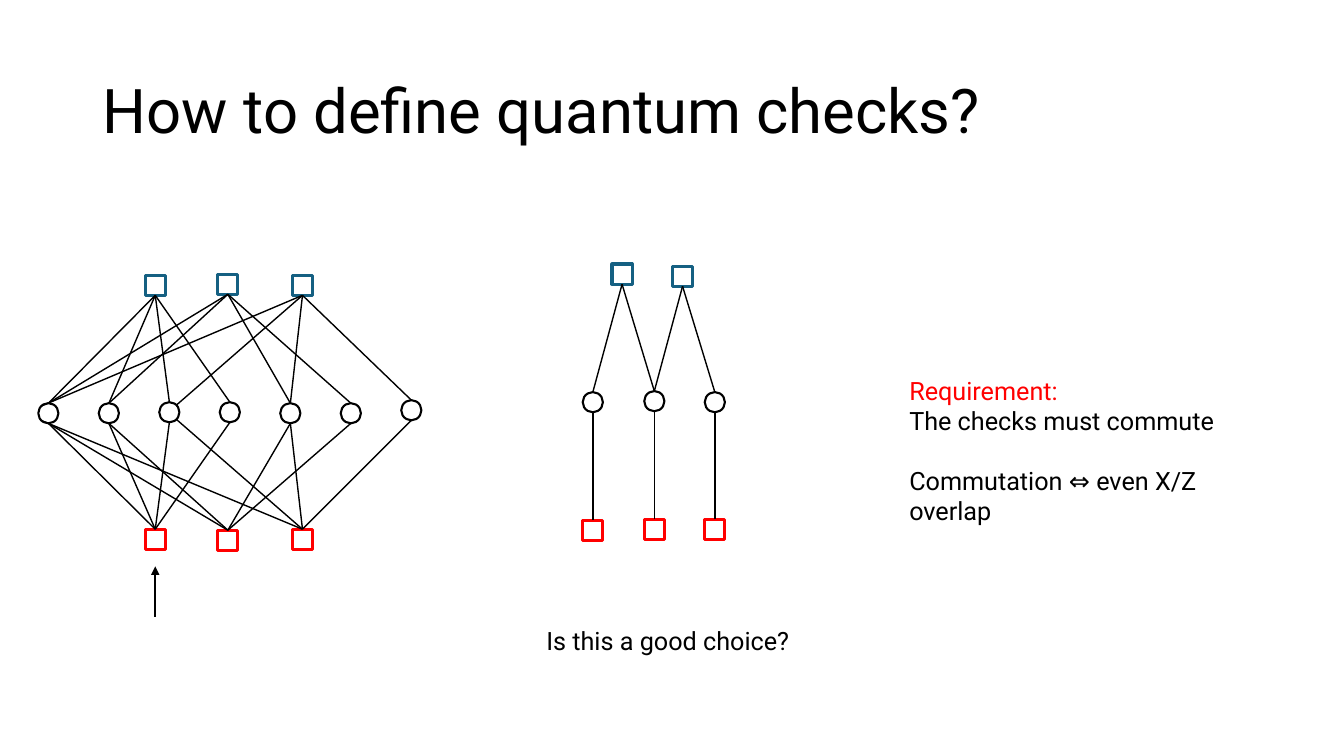
from math import sqrt

from lxml.etree import SubElement
from pptx import Presentation
from pptx.dml.color import RGBColor
from pptx.enum.shapes import MSO_CONNECTOR, MSO_SHAPE
from pptx.enum.text import MSO_ANCHOR, MSO_AUTO_SIZE, PP_ALIGN
from pptx.oxml.ns import qn
from pptx.util import Inches, Pt

COLORS = {"ink": "000000", "paper": "FFFFFF", "x_check": "156082", "z_check": "FF0000"}
FONT = "Roboto"
CELL = 0.1  # side of one grid column or row, in inches
RADIUS = 1  # half the width of a node, in cells


def grid(*cells):
    return [Inches(n * CELL) for n in cells]


def color(name):
    return RGBColor.from_string(COLORS[name])


def write(p, text, size=18, ink="ink", before=None, spacing=None):
    p.alignment = PP_ALIGN.LEFT
    if before is not None:
        p.space_before = Pt(before)
    if spacing is not None:
        p.line_spacing = spacing
    r = p.add_run()
    r.text = text
    r.font.name, r.font.size = FONT, Pt(size)
    r.font.color.rgb = color(ink)


class Board:
    def __init__(self, prs):
        self.s = prs.slides.add_slide(prs.slide_layouts[5])
        self.s.background.fill.solid()
        self.s.background.fill.fore_color.rgb = color("paper")

    def title(self, text, *box):
        sp = self.s.shapes.title
        sp.left, sp.top, sp.width, sp.height = grid(*box)
        tf = sp.text_frame
        tf.auto_size, tf.vertical_anchor = MSO_AUTO_SIZE.NONE, MSO_ANCHOR.MIDDLE
        write(tf.paragraphs[0], text, size=44, spacing=0.9, before=0)

    def text(self, lines, *box):
        tf = self.s.shapes.add_textbox(*grid(*box)).text_frame
        tf.word_wrap = True
        tf.auto_size = MSO_AUTO_SIZE.SHAPE_TO_FIT_TEXT
        for i, (text, fmt) in enumerate(lines):
            write(tf.add_paragraph() if i else tf.paragraphs[0], text, **fmt)

    def node(self, group, kind, center, line, weight):
        x, y = center
        sp = group.shapes.add_shape(
            kind, *grid(x - RADIUS, y - RADIUS, 2 * RADIUS, 2 * RADIUS))
        sp.shadow.inherit = False
        sp.fill.solid()
        sp.fill.fore_color.rgb = color("paper")
        sp.line.color.rgb = color(line)
        sp.line.width = Pt(weight)
        return sp

    def line(self, group, start, end, weight=1, arrow=False):
        cxn = group.shapes.add_connector(MSO_CONNECTOR.STRAIGHT, *grid(*start, *end))
        cxn.line.color.rgb = color("ink")
        cxn.line.width = Pt(weight)
        if arrow:
            SubElement(cxn.line._get_or_add_ln(), qn("a:tailEnd"), type="triangle")
        SubElement(cxn._element.spPr, qn("a:effectLst"))
        return cxn

    def tanner_graph(self, bits, x_checks, z_checks, slants=None):
        """Checks are (center, linked bits); slants shift a link's end along the circle."""
        group = self.s.shapes.add_group_shape()
        for bit in bits:
            self.node(group, MSO_SHAPE.OVAL, bit, "ink", 1.5)
        # X checks hang above the bits, Z checks below
        for checks, name, side, site in ((x_checks, "x_check", -1, 2),
                                         (z_checks, "z_check", 1, 0)):
            for c, ((x, y), links) in enumerate(checks):
                square = self.node(group, MSO_SHAPE.RECTANGLE, (x, y), name, 2.25)
                for b in links:
                    dx = (slants or {}).get((c, b), 0)
                    dy = side * sqrt(1 - dx ** 2)
                    end = bits[b][0] + dx * RADIUS, bits[b][1] + dy * RADIUS
                    cxn = self.line(group, (x, y - side * RADIUS), end)
                    cxn.begin_connect(square, site)
        return group


def main():
    prs = Presentation()
    prs.slide_width, prs.slide_height = Inches(13.33), Inches(7.5)
    board = Board(prs)

    # Title and remarks
    board.title("How to define quantum checks?", 9.2, 4, 115, 14.5)
    board.text([("Is this a good choice?", {})], 53.2, 61.5, 29.1, 4)
    board.text([("Requirement:", {"ink": "z_check"}),
                ("The checks must commute", {}),
                ("Commutation ⇔ even X/Z overlap", {"before": 21.5})],
               89.2, 36.7, 38.7, 13.1)

    # Three-bit code: two X checks, one Z check under each bit
    bits = [(58.8, 39.9), (64.9, 39.8), (70.9, 39.9)]
    board.tanner_graph(
        bits,
        [((61.7, 27.2), (0, 1)), ((67.7, 27.4), (1, 2))],
        [((x, y), (b,)) for b, (x, y) in
         enumerate(zip((58.8, 64.9, 70.9), (52.6, 52.5, 52.5)))])

    # Seven-bit code: the same three checks above and below
    heights = (41, 41, 40.9, 40.9, 41, 41, 40.7)
    bits = [(4.8 + 6 * i, y) for i, y in enumerate(heights)]
    columns = (15.4, 22.6, 30)
    links = ((0, 1, 2, 3), (0, 1, 4, 5), (0, 2, 4, 6))
    x_checks, z_checks = (
        [((x, y), bs) for x, y, bs in zip(columns, rows, links)]
        for rows in ((28.3, 28.2, 28.3), (53.5, 53.6, 53.5)))
    steane = board.tanner_graph(bits, x_checks, z_checks,
                                slants={(2, 0): -0.7, (2, 2): 0.7})

    # Arrow under the first Z check
    board.line(steane, (columns[0], 61.2), (columns[0], 56.2), weight=1.5, arrow=True)

    prs.save("out.pptx")


if __name__ == "__main__":
    main()
